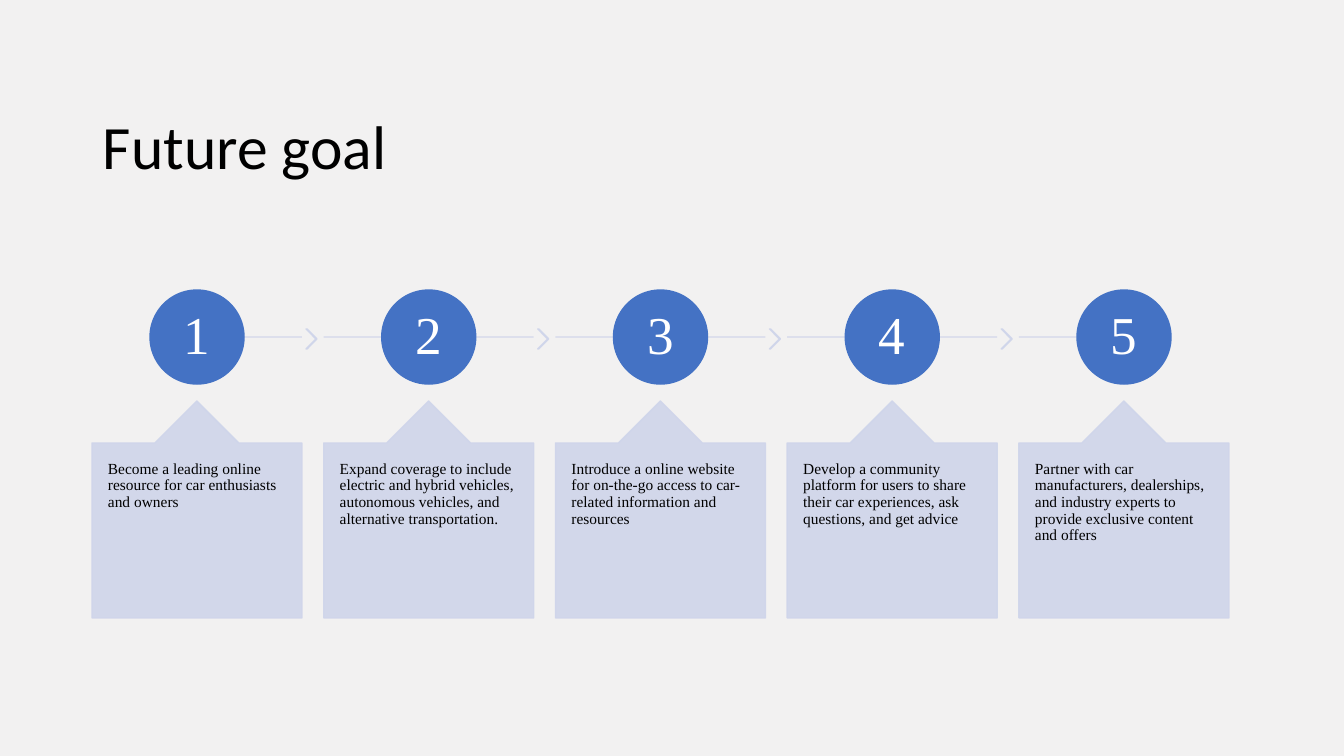
"""Build the Future goal slide: five numbered steps joined by a line."""
import lxml.etree
import pptx
import pptx.dml.color
import pptx.enum.shapes
import pptx.enum.text
import pptx.oxml.ns
import pptx.util

TITLE = "Future goal"
GOALS = [
    "Become a leading online resource for car enthusiasts and owners",
    "Expand coverage to include electric and hybrid vehicles, autonomous vehicles, "
    "and alternative transportation.",
    "Introduce a online website for on-the-go access to car-related information and resources",
    "Develop a community platform for users to share their car experiences, ask questions, "
    "and get advice",
    "Partner with car manufacturers, dealerships, and industry experts to provide "
    "exclusive content and offers",
]
COLORS = {"page": "F2F1F1", "circle": "4472C4", "card": "CFD5EA",
          "text": "000000", "number": "FFFFFF"}
PX = 914400 / 100.8
PAGE_WIDTH, PAGE_HEIGHT = 1344, 756
ROW_LEFT, ROW_SPAN = 92, 927
CARD_TOP, CARD_WIDTH, CARD_HEIGHT = 401, 210, 217
CIRCLE_TOP, CIRCLE_SIZE = 290, 94
LINE_Y = 337
CHEVRON_GAP, CHEVRON_TOP, CHEVRON_WIDTH, CHEVRON_HEIGHT = 4, 329, 11, 20
OPACITY = 90

SHAPES = pptx.enum.shapes.MSO_SHAPE
ALIGN = pptx.enum.text.PP_ALIGN
ANCHOR = pptx.enum.text.MSO_ANCHOR
STYLES = {
    "title": {"font": {"name": "Calibri", "size": pptx.util.Pt(44)}, "color": "text",
              "align": ALIGN.LEFT, "anchor": ANCHOR.BOTTOM, "insets": (10, 5)},
    "number": {"font": {"name": "Times New Roman", "size": pptx.util.Pt(38)}, "color": "number",
               "align": ALIGN.CENTER, "anchor": ANCHOR.MIDDLE, "insets": (4, 4)},
    "goal": {"font": {"name": "Times New Roman", "size": pptx.util.Pt(11)}, "color": "text",
             "align": ALIGN.LEFT, "anchor": ANCHOR.TOP, "insets": (16, 18)},
}


def px(*lengths):
    return [round(length * PX) for length in lengths]


def rgb(name):
    return pptx.dml.color.RGBColor.from_string(COLORS[name])


def fade(item):
    for color in item.element.spPr.iter(pptx.oxml.ns.qn("a:srgbClr")):
        lxml.etree.SubElement(color, pptx.oxml.ns.qn("a:alpha"), val=str(OPACITY * 1000))


def outline(item, color):
    item.line.color.rgb = rgb(color)
    item.line.width = pptx.util.Pt(1)


def write(box, text, style):
    frame = box.text_frame
    side, edge = px(*style["insets"])
    settings = {"word_wrap": True, "vertical_anchor": style["anchor"],
                "margin_left": side, "margin_right": side,
                "margin_top": edge, "margin_bottom": edge}
    for name, value in settings.items():
        setattr(frame, name, value)
    para = frame.paragraphs[0]
    para.alignment = style["align"]
    para.line_spacing = 0.9
    span = para.add_run()
    span.text = text
    for name, value in style["font"].items():
        setattr(span.font, name, value)
    span.font.color.rgb = rgb(style["color"])


def add_shape(page, kind, place, color, adjustments=()):
    shape = page.shapes.add_shape(kind, *px(*place))
    shape.shadow.inherit = False
    for index, value in enumerate(adjustments):
        shape.adjustments[index] = value
    shape.fill.solid()
    shape.fill.fore_color.rgb = rgb(color)
    outline(shape, color)
    return shape


def add_line(page, start, end):
    line = page.shapes.add_connector(pptx.enum.shapes.MSO_CONNECTOR.STRAIGHT,
                                     *px(start, LINE_Y, end, LINE_Y))
    outline(line, "card")
    lxml.etree.SubElement(line.element.spPr, pptx.oxml.ns.qn("a:effectLst"))
    fade(line)


def add_step(page, index, goal):
    last = len(GOALS) - 1
    left = ROW_LEFT + index * ROW_SPAN / last
    right = left + CARD_WIDTH
    center = left + CARD_WIDTH / 2
    add_line(page, center if index == 0 else left, center if index == last else right)
    if index < last:
        fade(add_shape(page, SHAPES.CHEVRON,
                       (right + CHEVRON_GAP, CHEVRON_TOP, CHEVRON_WIDTH, CHEVRON_HEIGHT),
                       "card", (0.9,)))
    circle = add_shape(page, SHAPES.OVAL,
                       (center - CIRCLE_SIZE / 2, CIRCLE_TOP, CIRCLE_SIZE, CIRCLE_SIZE), "circle")
    write(circle, str(index + 1), STYLES["number"])
    card = add_shape(page, SHAPES.UP_ARROW_CALLOUT, (left, CARD_TOP, CARD_WIDTH, CARD_HEIGHT),
                     "card", (0.5, 0.2, 0.2, 1))
    fade(card)
    write(card, goal, STYLES["goal"])


def main():
    deck = pptx.Presentation()
    deck.slide_width, deck.slide_height = px(PAGE_WIDTH, PAGE_HEIGHT)
    page = deck.slides.add_slide(deck.slide_layouts[6])
    page.background.fill.solid()
    page.background.fill.fore_color.rgb = rgb("page")
    write(page.shapes.add_textbox(*px(93, 65, 1159, 123)), TITLE, STYLES["title"])
    for index, goal in enumerate(GOALS):
        add_step(page, index, goal)
    deck.save("out.pptx")


if __name__ == "__main__":
    main()
